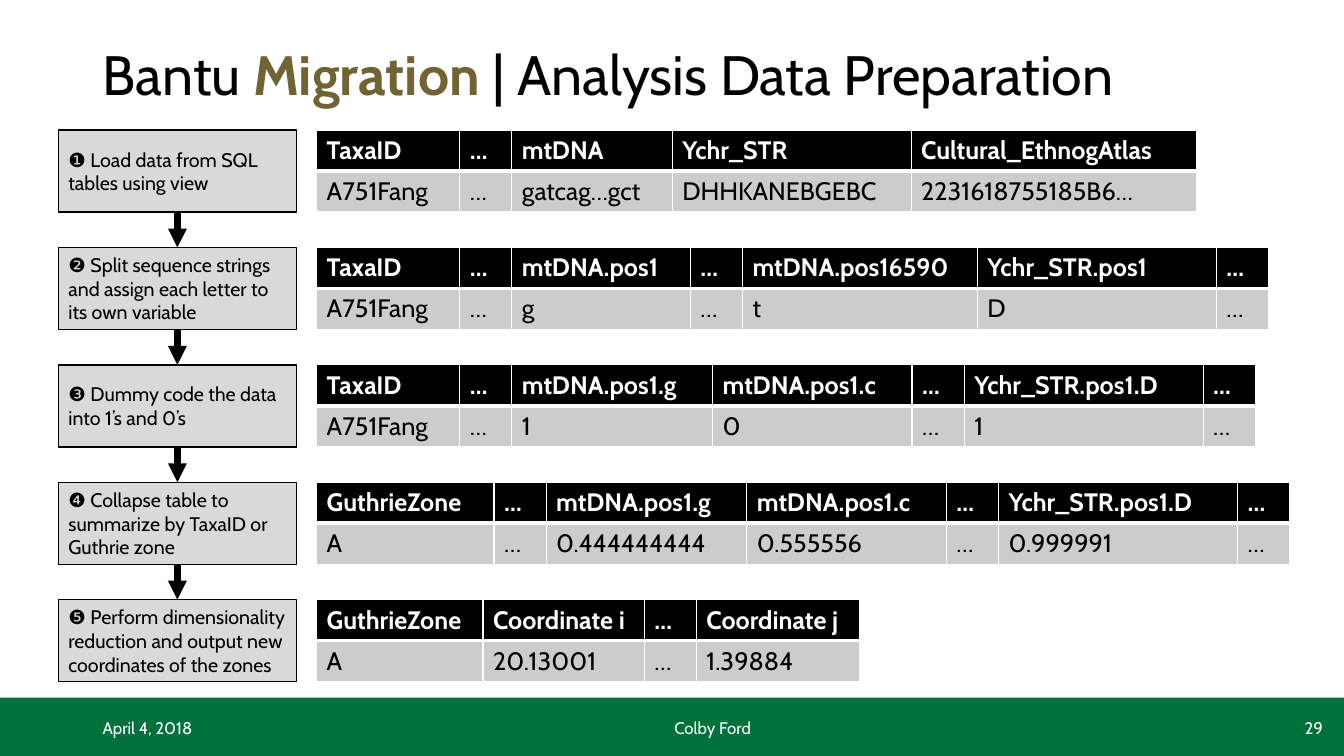
from dataclasses import dataclass
from typing import Any

from lxml import etree
from pptx import Presentation
from pptx.dml.color import RGBColor
from pptx.enum.shapes import MSO_CONNECTOR, MSO_SHAPE
from pptx.enum.text import MSO_ANCHOR, MSO_AUTO_SIZE, PP_ALIGN
from pptx.oxml.ns import qn
from pptx.util import Inches, Pt

LEFT, CENTER, RIGHT = PP_ALIGN.LEFT, PP_ALIGN.CENTER, PP_ALIGN.RIGHT
MIDDLE = MSO_ANCHOR.MIDDLE
NO_AUTOFIT = MSO_AUTO_SIZE.NONE
RECTANGLE = MSO_SHAPE.RECTANGLE
STRAIGHT = MSO_CONNECTOR.STRAIGHT

BLACK, WHITE, GREEN, GOLD = "000000", "FFFFFF", "00703C", "726332"
STEP_GRAY, CELL_GRAY = "D9D9D9", "CCCCCC"

STEP_LEFT, STEP_WIDTH, STEP_HEIGHT = 4.35, 17.7, 10.85
FIRST_TOP, ROW_PITCH = 17.2, 15.53
TABLE_LEFT, DOTS = 23.56, 3.88

STEPS = [
    ("❶ Load data from SQL tables using view",
     [10.65, DOTS, 11.93, 17.78, 21.23],
     ["TaxaID", "…", "mtDNA", "Ychr_STR", "Cultural_EthnogAtlas"],
     ["A751Fang", "…", "gatcag…gct", "DHHKANEBGEBC", "2231618755185B6…"]),
    ("❷ Split sequence strings and assign each letter to its own variable",
     [10.65, DOTS, 13.28, DOTS, 17.48, 17.78, DOTS],
     ["TaxaID", "…", "mtDNA.pos1", "…", "mtDNA.pos16590", "Ychr_STR.pos1", "…"],
     ["A751Fang", "…", "g", "…", "t", "D", "…"]),
    ("❸ Dummy code the data into 1’s and 0’s",
     [10.65, DOTS, 14.93, 14.85, DOTS, 17.78, DOTS],
     ["TaxaID", "…", "mtDNA.pos1.g", "mtDNA.pos1.c", "…", "Ychr_STR.pos1.D", "…"],
     ["A751Fang", "…", "1", "0", "…", "1", "…"]),
    ("❹ Collapse table to summarize by TaxaID or Guthrie zone",
     [13.2, DOTS, 14.93, 14.85, DOTS, 17.78, DOTS],
     ["GuthrieZone", "…", "mtDNA.pos1.g", "mtDNA.pos1.c", "…", "Ychr_STR.pos1.D", "…"],
     ["A", "…", "0.444444444", "0.555556", "…", "0.999991", "…"]),
    ("❺ Perform dimensionality reduction and output new coordinates of the zones",
     [12.38, 12, DOTS, 12.15],
     ["GuthrieZone", "Coordinate i", "…", "Coordinate j"],
     ["A", "20.13001", "…", "1.39884"]),
]

FOOTERS = [
    ("April 4, 2018", 6.9, 22.5, LEFT),
    ("Colby Ford", 31.28, 43.5, CENTER),
    ("29", 76.67, 22.5, RIGHT),
]


def color(value):
    return RGBColor.from_string(value)


@dataclass
class SlideBuilder:
    page: Any
    width: int
    height: int
    font: str = "Cabin"

    def across(self, share):
        return round(self.width * share / 100)

    def down(self, share):
        return round(self.height * share / 100)

    def area(self, left, top, width, height):
        return self.across(left), self.down(top), self.across(width), self.down(height)

    def style(self, span, size, ink, bold=False):
        span.font.name = self.font
        span.font.size = Pt(size)
        span.font.bold = bold
        span.font.color.rgb = color(ink)

    def fill_text(self, frame, text, size, ink, align=LEFT, bold=False):
        frame.word_wrap = True
        frame.text = text
        para = frame.paragraphs[0]
        para.alignment = align
        self.style(para.runs[0], size, ink, bold)

    def title(self, spans, *shares):
        box = self.page.shapes.title
        box.left, box.top, box.width, box.height = self.area(*shares)
        frame = box.text_frame
        frame.auto_size = NO_AUTOFIT
        frame.vertical_anchor = MIDDLE
        para = frame.paragraphs[0]
        para.alignment = LEFT
        para.line_spacing = 0.9
        for text, ink, bold in spans:
            span = para.add_run()
            span.text = text
            self.style(span, 39.6, ink, bold)

    def rectangle(self, shares, fill, line=None):
        box = self.page.shapes.add_shape(RECTANGLE, *self.area(*shares))
        box.shadow.inherit = False
        box.fill.solid()
        box.fill.fore_color.rgb = color(fill)
        if line:
            box.line.color.rgb = color(line)
            box.line.width = Pt(1)
        else:
            box.line.fill.background()
        return box

    def step(self, text, top):
        box = self.rectangle((STEP_LEFT, top, STEP_WIDTH, STEP_HEIGHT), STEP_GRAY, BLACK)
        box.text_frame.vertical_anchor = MIDDLE
        self.fill_text(box.text_frame, text, 14, BLACK)

    def label(self, text, shares, align):
        box = self.page.shapes.add_textbox(*self.area(*shares))
        box.text_frame.vertical_anchor = MIDDLE
        self.fill_text(box.text_frame, text, 12, WHITE, align)

    def arrow(self, column, start, end):
        x = self.across(column)
        line = self.page.shapes.add_connector(STRAIGHT, x, self.down(start), x, self.down(end))
        line.line.color.rgb = color(BLACK)
        line.line.width = Pt(4.5)
        properties = line.line._get_or_add_ln()
        etree.SubElement(properties, qn("a:tailEnd"), type="triangle")
        etree.SubElement(properties.getparent(), qn("a:effectLst"))

    def borders(self, cell, widths):
        properties = cell._tc.get_or_add_tcPr()
        for side, points in widths.items():
            line = etree.SubElement(properties, qn(f"a:ln{side}"), w=str(Pt(points)))
            fill = etree.SubElement(line, qn("a:solidFill"))
            etree.SubElement(fill, qn("a:srgbClr"), val=WHITE)

    def table(self, top, widths, header, values):
        shares = (TABLE_LEFT, top, sum(widths), STEP_HEIGHT)
        grid = self.page.shapes.add_table(2, len(widths), *self.area(*shares)).table
        for column, width in zip(grid.columns, widths):
            column.width = self.across(width)
        looks = [(header, BLACK, WHITE, True, 1, 3), (values, CELL_GRAY, BLACK, False, 3, 1)]
        for row, (texts, fill, ink, bold, above, below) in enumerate(looks):
            for column, text in enumerate(texts):
                cell = grid.cell(row, column)
                self.borders(cell, {"L": 1, "R": 1, "T": above, "B": below})
                cell.fill.solid()
                cell.fill.fore_color.rgb = color(fill)
                self.fill_text(cell.text_frame, text, 18, ink, bold=bold)


def main():
    deck = Presentation()
    deck.slide_width, deck.slide_height = Inches(13.33), Inches(7.5)
    page = deck.slides.add_slide(deck.slide_layouts[5])
    builder = SlideBuilder(page, deck.slide_width, deck.slide_height)

    builder.rectangle((0, 92.27, 100, 7.73), GREEN)
    builder.title([("Bantu ", BLACK, False), ("Migration", GOLD, True),
                   (" | Analysis Data Preparation", BLACK, False)],
                  6.9, 5.33, 86.27, 9.73)
    for text, left, width, align in FOOTERS:
        builder.label(text, (left, 93.6, width, 5.33), align)

    for index, (text, widths, header, values) in enumerate(STEPS):
        top = FIRST_TOP + index * ROW_PITCH
        builder.table(top, widths, header, values)
        builder.step(text, top)
        if index:
            builder.arrow(STEP_LEFT + STEP_WIDTH / 2, top - ROW_PITCH + STEP_HEIGHT, top)

    deck.save("out.pptx")


if __name__ == "__main__":
    main()
